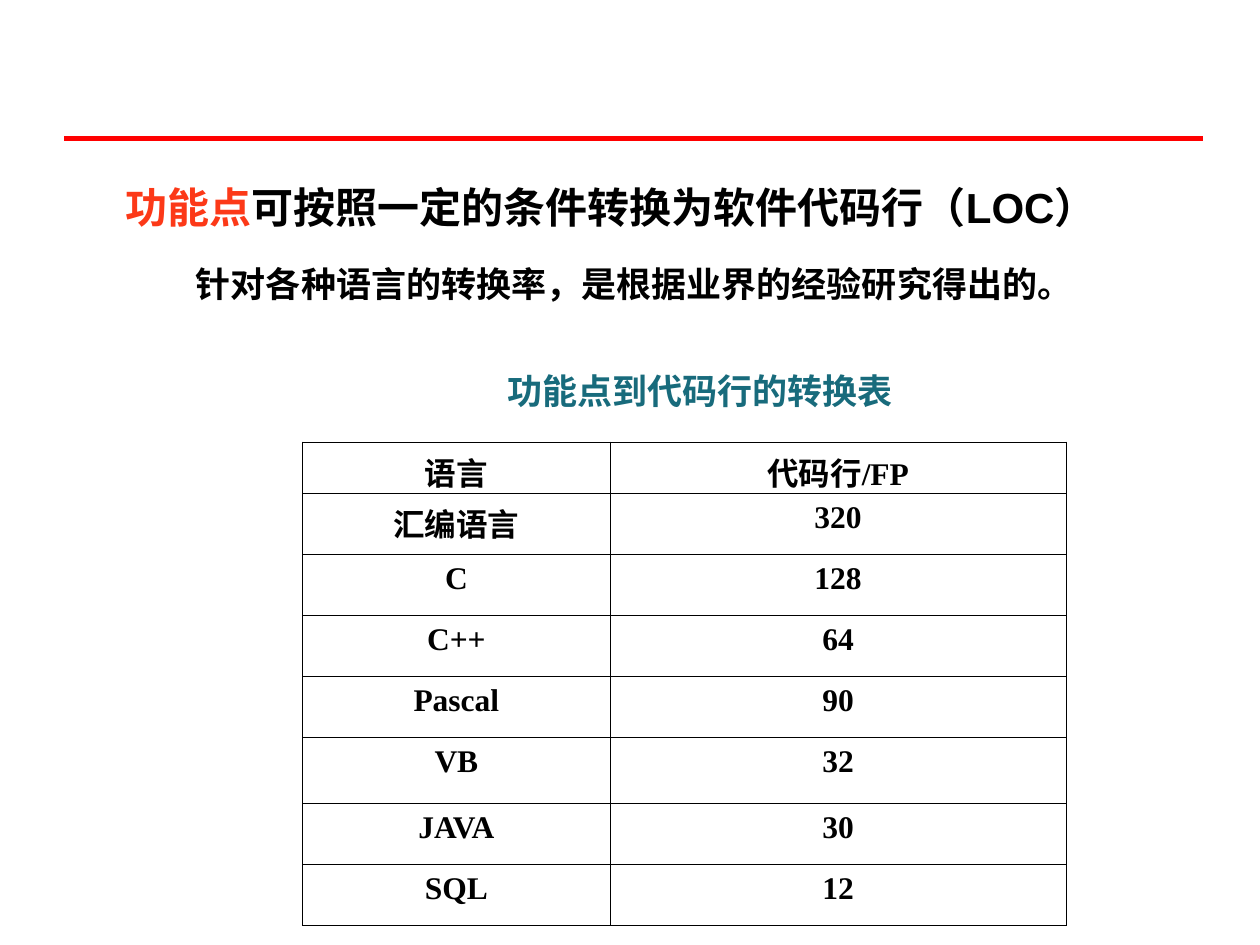
from lxml import etree
from pptx import Presentation
from pptx.dml.color import RGBColor
from pptx.enum.shapes import MSO_CONNECTOR
from pptx.enum.text import MSO_AUTO_SIZE, PP_ALIGN
from pptx.oxml.ns import qn
from pptx.util import Cm, Pt

LINE = MSO_CONNECTOR.STRAIGHT
GROW = MSO_AUTO_SIZE.SHAPE_TO_FIT_TEXT
MID = PP_ALIGN.CENTER
FULL = PP_ALIGN.JUSTIFY
HEX = {"rule": "FF0000", "key": "FC3918", "text": "000000", "title": "186B7C"}


def style(run, size, color, name="Arial"):
    font = run.font
    font.size = Pt(size)
    font.name = name
    font.bold = True
    font.color.rgb = RGBColor.from_string(HEX[color])


def border(cell, side, width):
    line = etree.SubElement(cell._tc.get_or_add_tcPr(), qn("a:ln" + side), w=str(Pt(width)))
    fill = etree.SubElement(line, qn("a:solidFill"))
    etree.SubElement(fill, qn("a:srgbClr"), val=HEX["text"])


deck = Presentation()
deck.slide_width = Cm(25.4)
deck.slide_height = Cm(19.05)
slide = deck.slides.add_slide(deck.slide_layouts[6])
shapes = slide.shapes

rule = shapes.add_connector(LINE, Cm(1.3), Cm(2.79), Cm(24.26), Cm(2.79))
rule.line.color.rgb = RGBColor.from_string(HEX["rule"])
rule.line.width = Pt(3)
etree.SubElement(rule._element.spPr, qn("a:effectLst"))

body = shapes.add_textbox(Cm(2.29), Cm(3.53), Cm(20.4), Cm(3.76)).text_frame
body.word_wrap = True
body.auto_size = GROW
lead = body.paragraphs[0]
lead.alignment = FULL
props = lead._p.get_or_add_pPr()
props.set("marL", str(Cm(1.27)))
props.set("indent", str(Cm(-1.27)))
for text, color in (("功能点", "key"), ("可按照一定的条件转换为软件代码行（LOC）", "text")):
    run = lead.add_run()
    run.text = text
    style(run, 24, color)

note = body.add_paragraph()
note.text = "针对各种语言的转换率，是根据业界的经验研究得出的。"
note.alignment = FULL
note.space_before = Pt(17.5)
props = note._p.get_or_add_pPr()
props.set("marL", str(Cm(1.41)))
props.set("indent", "0")
style(note.runs[0], 20, "text")

rows = [
    ("语言", "代码行/FP"),
    ("汇编语言", "320"),
    ("C", "128"),
    ("C++", "64"),
    ("Pascal", "90"),
    ("VB", "32"),
    ("JAVA", "30"),
    ("SQL", "12"),
]
highs = [1.03] + [1.23] * 4 + [1.33] + [1.23] * 2
wides = [6.2, 9.19]
last = len(rows) - 1
frame = shapes.add_table(len(rows), 2, Cm(6.1), Cm(8.92), Cm(sum(wides)), Cm(sum(highs)))
table = frame.table
table.first_row = False
table.horz_banding = False
for col, wide in zip(table.columns, wides):
    col.width = Cm(wide)
for r, (row, high) in enumerate(zip(rows, highs)):
    table.rows[r].height = Cm(high)
    for c, text in enumerate(row):
        cell = table.cell(r, c)
        cell.text_frame.text = text
        para = cell.text_frame.paragraphs[0]
        para.alignment = MID
        style(para.runs[0], 18, "text", "Times New Roman")
        border(cell, "L", 0.34 if c == 0 else 0.45)
        border(cell, "R", 0.34 if c == 1 else 0.45)
        border(cell, "T", 0.96 if r == 0 else 0.45)
        border(cell, "B", 0.96 if r == last else 0.45)
        cell.fill.background()

title = shapes.add_textbox(Cm(8.51), Cm(7.32), Cm(11.2), Cm(1.12)).text_frame
title.word_wrap = True
title.auto_size = GROW
title.text = "功能点到代码行的转换表"
para = title.paragraphs[0]
para.alignment = MID
style(para.runs[0], 20, "title")

deck.save("out.pptx")
